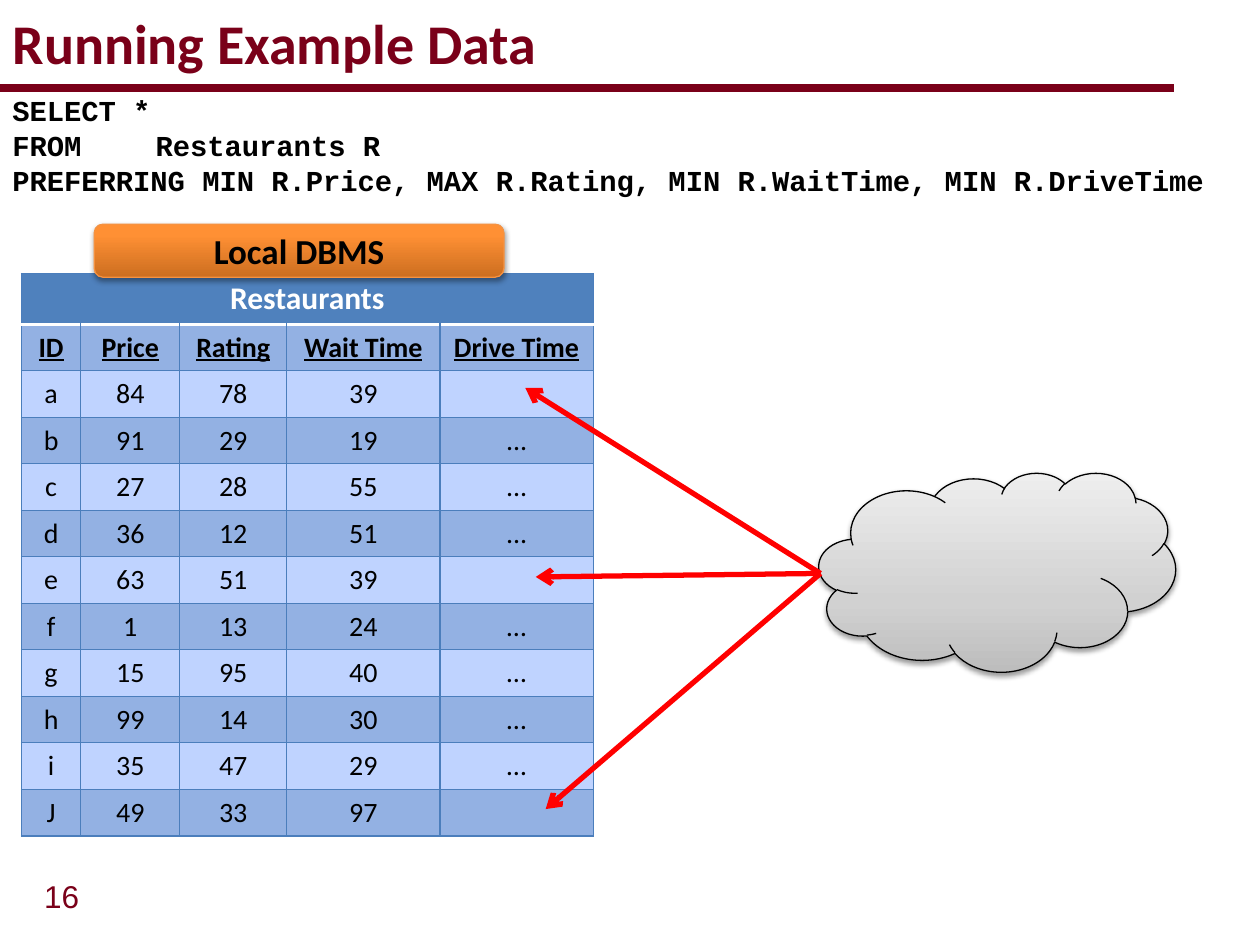
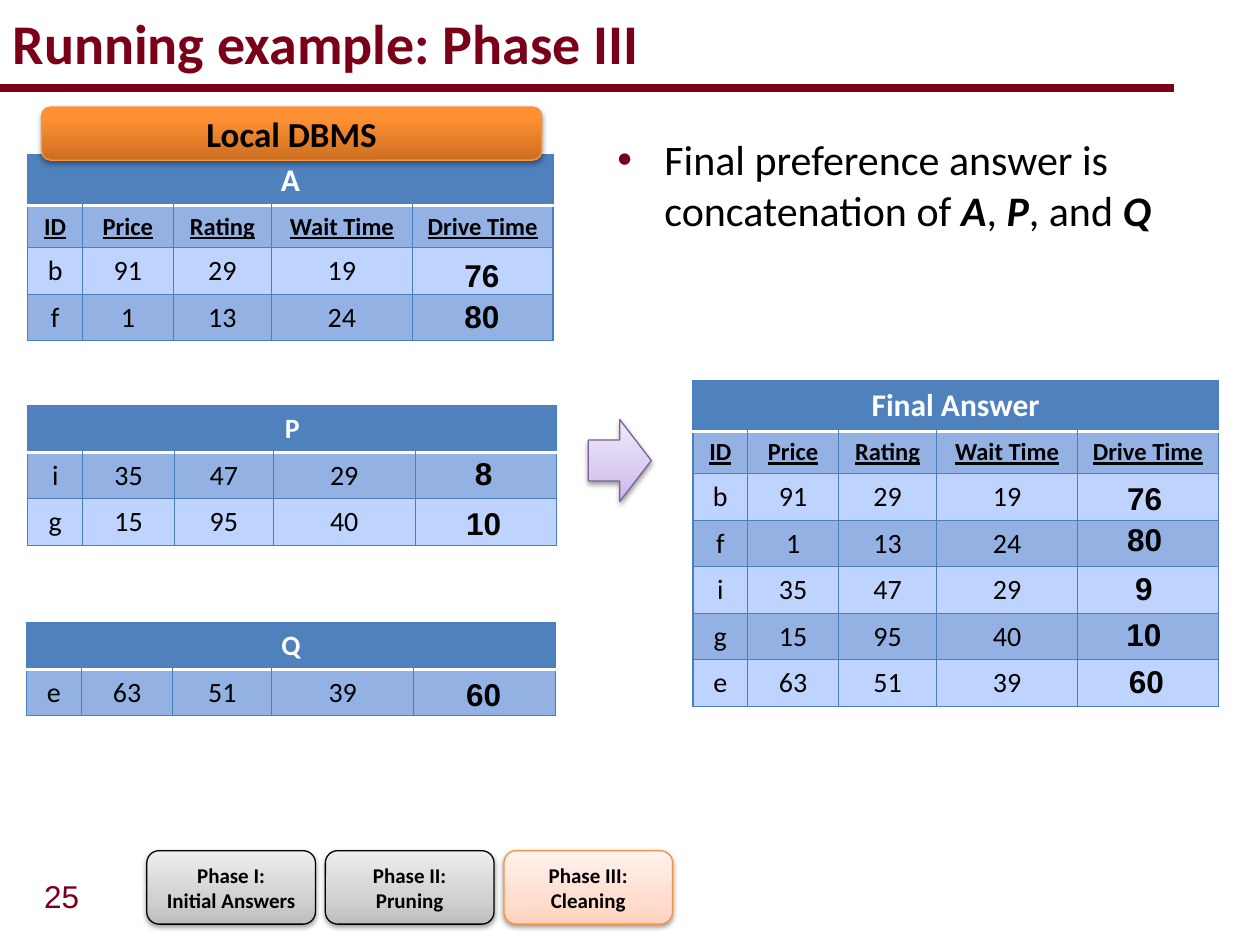
"""Builds two slides of a running example on preference queries."""
from lxml.etree import SubElement
from pptx import Presentation
from pptx.dml.color import RGBColor
from pptx.enum.shapes import MSO_CONNECTOR, MSO_SHAPE
from pptx.enum.text import MSO_ANCHOR, MSO_AUTO_SIZE, PP_ALIGN
from pptx.oxml.ns import qn
from pptx.util import Cm, Pt

MAROON = RGBColor(0x7A, 0x00, 0x19)
BLACK = RGBColor(0x00, 0x00, 0x00)
WHITE = RGBColor(0xFF, 0xFF, 0xFF)
RED = RGBColor(0xFF, 0x00, 0x00)
ORANGE = RGBColor(0xF6, 0x92, 0x40)
PURPLE = RGBColor(0x7D, 0x60, 0xA0)
TABLE_HEAD = RGBColor(0x4F, 0x81, 0xBD)
TABLE_DARK = RGBColor(0x93, 0xB1, 0xE3)
TABLE_LIGHT = RGBColor(0xBF, 0xD3, 0xFF)
TABLE_LINE = RGBColor(0x4B, 0x7E, 0xBC)

GREY_STOPS = ((0, RGBColor(0xBD, 0xBD, 0xBD)), (35, RGBColor(0xD1, 0xD1, 0xD1)),
              (100, RGBColor(0xEE, 0xEE, 0xEE)))
PEACH_STOPS = ((0, RGBColor(0xFF, 0xD2, 0xBD)), (35, RGBColor(0xFF, 0xDE, 0xD0)),
               (100, RGBColor(0xFF, 0xF2, 0xED)))
LILAC_STOPS = ((0, RGBColor(0xC9, 0xB5, 0xE8)), (35, RGBColor(0xD8, 0xCB, 0xEE)),
               (100, RGBColor(0xF0, 0xEA, 0xF9)))
ORANGE_STOPS = ((0, RGBColor(0xCC, 0x6E, 0x20)), (80, RGBColor(0xFF, 0x90, 0x34)),
                (100, RGBColor(0xFF, 0x91, 0x36)))

COLUMN_SHARES = (0.104, 0.173, 0.187, 0.268, 0.268)
HEADINGS = ("ID", "Price", "Rating", "Wait Time", "Drive Time")
RESTAURANTS = (
    ("a", "84", "78", "39", ""),
    ("b", "91", "29", "19", "..."),
    ("c", "27", "28", "55", "..."),
    ("d", "36", "12", "51", "..."),
    ("e", "63", "51", "39", ""),
    ("f", "1", "13", "24", "…"),
    ("g", "15", "95", "40", "…"),
    ("h", "99", "14", "30", "…"),
    ("i", "35", "47", "29", "…"),
    ("J", "49", "33", "97", ""),
)


def write(frame, text, size=18, font="Calibri", color=BLACK, bold=False,
          underline=False, align=PP_ALIGN.LEFT):
    """Fills a text frame, one paragraph a line, with |parts| in bold italic."""
    for number, line in enumerate(text.split("\n")):
        paragraph = frame.add_paragraph() if number else frame.paragraphs[0]
        paragraph.alignment = align
        for position, part in enumerate(line.split("|")):
            if not part:
                continue
            emphasis = position % 2 == 1
            run = paragraph.add_run()
            run.text = part
            run.font.name = font
            run.font.size = Pt(size)
            run.font.color.rgb = color
            run.font.bold = bold or emphasis
            run.font.italic = emphasis
            run.font.underline = underline
        if not line:
            SubElement(paragraph._p, qn("a:endParaRPr"), sz=str(size * 100))


def restaurants(identifiers):
    """Returns the named restaurants in order, without their drive times."""
    found = {row[0]: row for row in RESTAURANTS}
    return [found[identifier][:4] + ("",) for identifier in identifiers]


def add_color(parent, color):
    """Adds a colour element and returns it."""
    return SubElement(parent, qn("a:srgbClr"), val=str(color))


class Deck:
    """Holds the presentation's style and the slide being built."""

    def __init__(self):
        self.presentation = Presentation()
        self.presentation.slide_width = Cm(25.4)
        self.presentation.slide_height = Cm(19.05)
        self.slide = None

    def start_slide(self, title, number, layout):
        """Adds a slide with its title, rule and number."""
        self.slide = self.presentation.slides.add_slide(
            self.presentation.slide_layouts[layout])
        shape = self.slide.shapes.title
        self.place(shape, 0, 0, 24.13, 1.7)
        shape.text_frame.vertical_anchor = MSO_ANCHOR.MIDDLE
        write(shape.text_frame, title, size=32, color=MAROON, bold=True)
        self.line((0, 1.78), (23.67, 1.78), MAROON, 4.5)
        self.text(str(number), 0.64, 17.55, 1.3, 1.02, wrap=False,
                  font="Arial", color=MAROON)

    def place(self, shape, left, top, width, height):
        """Moves a placeholder and stops it from resizing its text."""
        shape.left, shape.top = Cm(left), Cm(top)
        shape.width, shape.height = Cm(width), Cm(height)
        shape.text_frame.auto_size = MSO_AUTO_SIZE.NONE

    def bullet(self, text, left, top, width, height):
        """Fills the body placeholder with one bulleted paragraph."""
        shape = self.slide.placeholders[1]
        self.place(shape, left, top, width, height)
        write(shape.text_frame, text, size=24)
        properties = shape.text_frame.paragraphs[0]._p.get_or_add_pPr()
        properties.set("marL", str(Cm(0.95)))
        properties.set("indent", str(-Cm(0.95)))
        add_color(SubElement(properties, qn("a:buClr")), MAROON)
        SubElement(properties, qn("a:buFont"), typeface="Arial")
        SubElement(properties, qn("a:buChar"), char="•")

    def text(self, text, left, top, width, height, wrap=True, **style):
        """Adds a text box."""
        box = self.slide.shapes.add_textbox(Cm(left), Cm(top), Cm(width), Cm(height))
        box.text_frame.word_wrap = wrap
        write(box.text_frame, text, **style)

    def line(self, start, end, color, weight, arrow=False):
        """Adds a straight line, with an arrowhead at its end if asked."""
        connector = self.slide.shapes.add_connector(
            MSO_CONNECTOR.STRAIGHT, *(Cm(length) for length in start + end))
        connector.line.color.rgb = color
        connector.line.width = Pt(weight)
        if arrow:
            SubElement(connector.line._get_or_add_ln(), qn("a:tailEnd"), type="arrow")
        SubElement(connector._element.spPr, qn("a:effectLst"))

    def shape(self, kind, left, top, width, height, stops, outline, text="", **style):
        """Adds a preset shape with an upward gradient and a soft shadow."""
        shape = self.slide.shapes.add_shape(
            kind, Cm(left), Cm(top), Cm(width), Cm(height))
        shape.fill.gradient()
        shape.fill.gradient_angle = 90
        stop_list = shape._element.spPr.find(".//" + qn("a:gsLst"))
        for stop in list(stop_list):
            stop_list.remove(stop)
        for position, color in stops:
            add_color(SubElement(stop_list, qn("a:gs"), pos=str(position * 1000)), color)
        shape.line.color.rgb = outline
        shape.line.width = Pt(0.75)
        shape.shadow.inherit = False
        effects = shape._element.spPr.find(qn("a:effectLst"))
        shadow = SubElement(effects, qn("a:outerShdw"), blurRad=str(Pt(3.1)),
                            dist=str(Pt(1.6)), dir="5400000", rotWithShape="0")
        SubElement(add_color(shadow, BLACK), qn("a:alpha"), val="38000")
        if text:
            shape.text_frame.word_wrap = True
            shape.text_frame.vertical_anchor = MSO_ANCHOR.MIDDLE
            write(shape.text_frame, text, bold=True, align=PP_ALIGN.CENTER, **style)

    def database_label(self, left, top, width):
        """Adds the orange label that tops a database table."""
        self.shape(MSO_SHAPE.ROUNDED_RECTANGLE, left, top, width, 1.07,
                   ORANGE_STOPS, ORANGE, "Local DBMS", size=20)

    def cell_borders(self, cell, row):
        """Draws a cell's borders, with a white rule below the title row."""
        properties = cell._tc.get_or_add_tcPr()
        for side in "LRTB":
            white = (side, row) in (("B", 0), ("T", 1))
            border = SubElement(properties, qn("a:ln" + side),
                                w=str(Pt(2 if white else 0.75)))
            add_color(SubElement(border, qn("a:solidFill")),
                      WHITE if white else TABLE_LINE)

    def table(self, title, records, left, top, width, title_size=18, heading_size=None):
        """Adds a titled table, with column headings if they have a size."""
        rows = [(title, "", "", "", "")]
        styles = [dict(size=title_size, color=WHITE, bold=True)]
        if heading_size:
            rows.append(HEADINGS)
            styles.append(dict(size=heading_size, bold=True, underline=True))
        rows += records
        styles += [dict(size=16)] * len(records)
        heights = [Cm(0.25 + 0.043 * style["size"]) for style in styles]
        frame = self.slide.shapes.add_table(
            len(rows), len(COLUMN_SHARES), Cm(left), Cm(top), Cm(width), sum(heights))
        table = frame.table
        for column, share in zip(table.columns, COLUMN_SHARES):
            column.width = Cm(width * share)
        for row, (values, style) in enumerate(zip(rows, styles)):
            table.rows[row].height = heights[row]
            band = TABLE_DARK if row % 2 else TABLE_LIGHT
            for column, value in enumerate(values):
                cell = table.cell(row, column)
                self.cell_borders(cell, row)
                cell.fill.solid()
                cell.fill.fore_color.rgb = band if row else TABLE_HEAD
                write(cell.text_frame, value, align=PP_ALIGN.CENTER, **style)
        table.cell(0, 0).merge(table.cell(0, len(COLUMN_SHARES) - 1))

    def drive_times(self, left, width, times):
        """Adds bold drive times, given as text and top, over a column."""
        for time, top in times:
            self.text(time, left, top, width, 1.02, font="Arial", bold=True,
                      align=PP_ALIGN.CENTER)


def build_data_slide(deck):
    """Builds the slide with the query and the full table."""
    deck.start_slide("Running Example Data", 16, layout=5)
    deck.table("Restaurants", RESTAURANTS, 0.43, 5.51, 11.53, heading_size=16)
    deck.text("SELECT *\nFROM \t Restaurants R\n"
              "PREFERRING MIN R.Price, MAX R.Rating, MIN R.WaitTime, MIN R.DriveTime",
              0, 1.75, 25.4, 2.36, size=16.5, font="Courier New", bold=True)
    deck.shape(MSO_SHAPE.CLOUD, 16.51, 9.53, 7.19, 4.01, GREY_STOPS, BLACK)
    deck.database_label(1.9, 4.52, 8.26)
    for missing_value in ((10.59, 7.82), (11, 16.31), (10.8, 11.63)):
        deck.line((16.54, 11.56), missing_value, RED, 3, arrow=True)


def build_phase_slide(deck):
    """Builds the slide with the partial answers and the final answer."""
    deck.start_slide("Running example: Phase III", 25, layout=1)
    deck.bullet("Final preference answer is concatenation of |A|, |P|, and |Q|",
                12.19, 2.57, 12.27, 2.46)
    deck.table("A", restaurants("bf"), 0.56, 3.12, 10.59, heading_size=14)
    deck.table("P", restaurants("ig"), 0.56, 8.18, 10.67, title_size=16)
    deck.table("Q", restaurants("e"), 0.53, 12.55, 10.67, title_size=16)
    deck.table("Final Answer", restaurants("bfige"), 13.97, 7.67, 10.59, heading_size=14)
    deck.database_label(0.84, 2.16, 10.08)
    deck.drive_times(8.23, 2.97, (("76", 5.03), ("80", 5.87)))
    deck.drive_times(8.33, 2.84, (("8", 9.02), ("10", 10.03), ("60", 13.49)))
    deck.drive_times(21.59, 2.97, (("76", 9.53), ("80", 10.36)))
    deck.drive_times(21.64, 2.84, (("9", 11.35), ("10", 12.27)))
    deck.drive_times(21.69, 2.84, (("60", 13.23),))
    deck.shape(MSO_SHAPE.RIGHT_ARROW, 11.86, 8.46, 1.27, 1.65, LILAC_STOPS, PURPLE)
    phases = (("Phase I:\nInitial Answers", GREY_STOPS, BLACK),
              ("Phase II:\nPruning", GREY_STOPS, BLACK),
              ("Phase III:\nCleaning", PEACH_STOPS, ORANGE))
    for position, (label, stops, outline) in enumerate(phases):
        deck.shape(MSO_SHAPE.ROUNDED_RECTANGLE, 2.96 + 3.6 * position, 17.15, 3.4, 1.48,
                   stops, outline, label, size=12)


def main():
    """Builds both slides and saves them."""
    deck = Deck()
    build_data_slide(deck)
    build_phase_slide(deck)
    deck.presentation.save("out.pptx")


if __name__ == "__main__":
    main()
